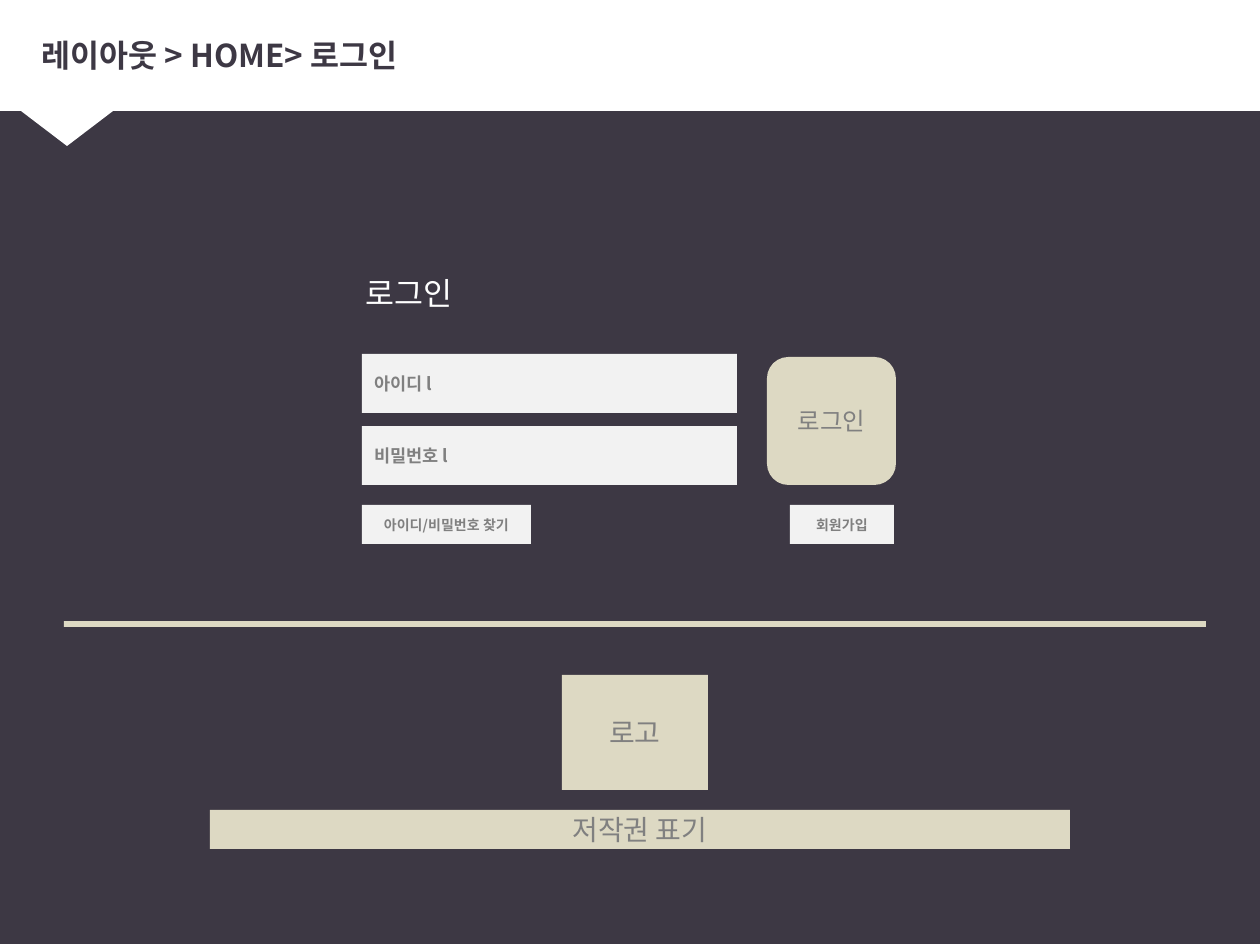
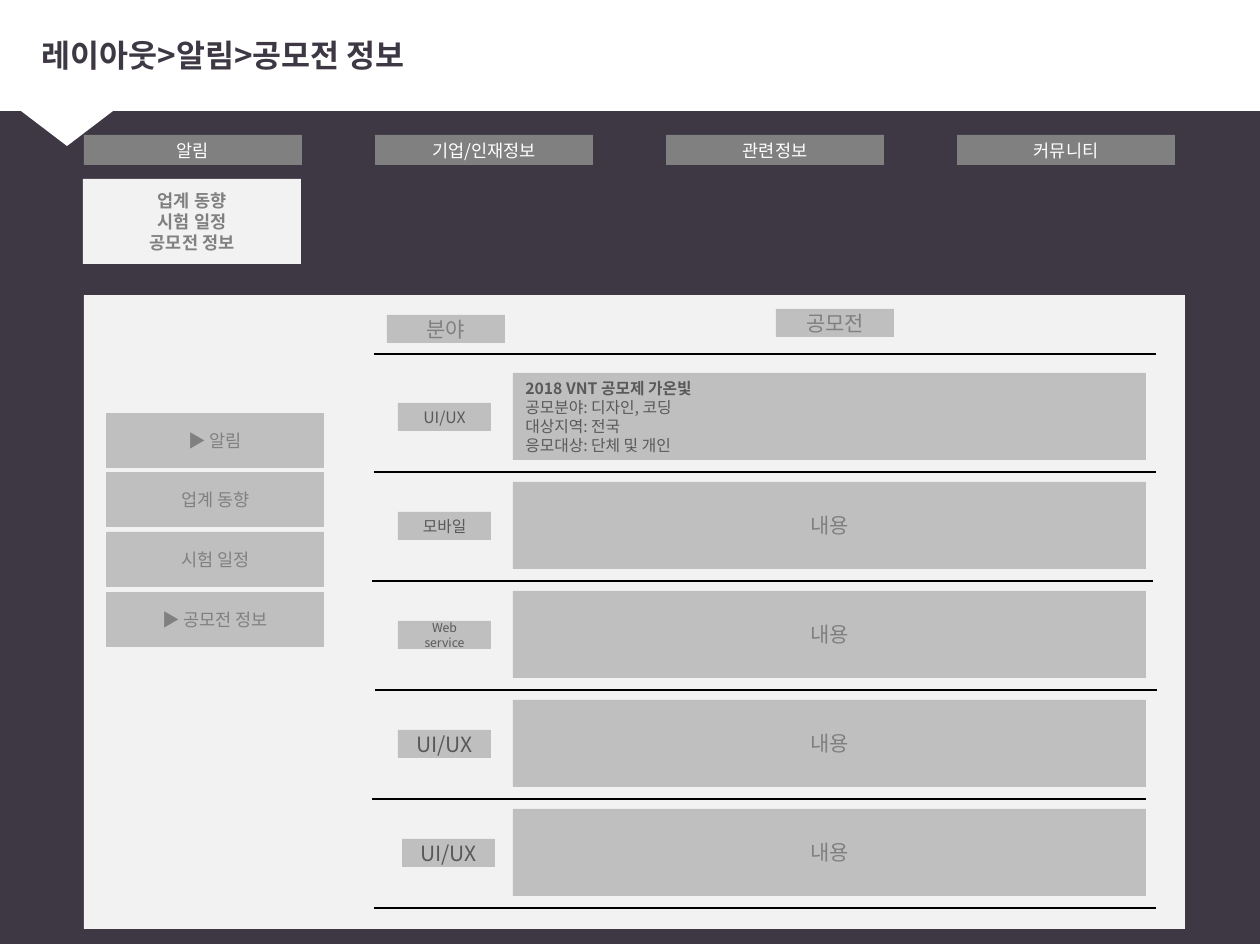
"""Build two wireframe slides: a login page and a contest list."""
from copy import deepcopy
from dataclasses import dataclass

from lxml import etree
from pptx import Presentation
from pptx.dml.color import RGBColor
from pptx.enum.shapes import MSO_CONNECTOR, MSO_SHAPE
from pptx.enum.text import MSO_ANCHOR, MSO_AUTO_SIZE, PP_ALIGN
from pptx.oxml.ns import qn
from pptx.presentation import Presentation as Deck
from pptx.shapes.base import BaseShape
from pptx.slide import Slide, SlideLayout
from pptx.util import Emu, Pt

RECT = MSO_SHAPE.RECTANGLE
ROUND = MSO_SHAPE.ROUNDED_RECTANGLE
WEDGE = MSO_SHAPE.ISOSCELES_TRIANGLE
LINE = MSO_CONNECTOR.STRAIGHT
LEFT = PP_ALIGN.LEFT
MID = PP_ALIGN.CENTER
TOP = MSO_ANCHOR.TOP
CORE = MSO_ANCHOR.MIDDLE
FIXED = MSO_AUTO_SIZE.NONE
SCALE = 914400 / 126


@dataclass(frozen=True)
class Theme:
    """Colours, font and type sizes of the deck."""
    font: str = "Noto Sans CJK KR"
    dark: str = "3D3844"
    white: str = "FFFFFF"
    pale: str = "F2F2F2"
    sand: str = "DDD9C3"
    silver: str = "BFBFBF"
    gray: str = "808080"
    coal: str = "595959"
    black: str = "000000"
    title: float = 18
    logo: float = 16
    button: float = 14
    head: float = 12
    body: float = 10
    note: float = 9
    small: float = 8
    tiny: float = 7
    rule: float = 0.75


THEME = Theme()


@dataclass(frozen=True)
class Box:
    """A filled shape, placed in pixels, with optional text."""
    x: int
    y: int
    w: int
    h: int
    fill: str
    text: str = ""
    size: float = THEME.body
    ink: str = THEME.gray
    bold: bool = False
    lead: bool = False
    align: PP_ALIGN = MID
    kind: MSO_SHAPE = RECT
    turn: int = 0


def px(count: int) -> Emu:
    """Turn pixels into EMU."""
    return Emu(round(count * SCALE))


def area(x: int, y: int, w: int, h: int) -> tuple[Emu, Emu, Emu, Emu]:
    """Turn a pixel frame into EMU lengths."""
    return px(x), px(y), px(w), px(h)


def write(shape: BaseShape, text: str, *, size: float, ink: str, bold: bool = False,
          lead: bool = False, align: PP_ALIGN = LEFT,
          anchor: MSO_ANCHOR = CORE) -> None:
    """Fill a shape with text, one paragraph a line; lead makes the first bold."""
    frame = shape.text_frame
    frame.word_wrap = True
    frame.auto_size = FIXED
    frame.vertical_anchor = anchor
    frame.text = text
    for row, para in enumerate(frame.paragraphs):
        para.alignment = align
        for run in para.runs:
            run.font.name = THEME.font
            run.font.size = Pt(size)
            run.font.bold = bold or (lead and row == 0)
            run.font.color.rgb = RGBColor.from_string(ink)
    for latin in list(shape.element.iter(qn("a:latin"))):
        east = deepcopy(latin)
        east.tag = qn("a:ea")
        latin.addnext(east)


def draw(slide: Slide, box: Box) -> BaseShape:
    """Draw one box."""
    shape = slide.shapes.add_shape(box.kind, *area(box.x, box.y, box.w, box.h))
    shape.shadow.inherit = False
    shape.fill.solid()
    shape.fill.fore_color.rgb = RGBColor.from_string(box.fill)
    shape.line.fill.background()
    shape.rotation = box.turn
    if box.text:
        write(shape, box.text, size=box.size, ink=box.ink, bold=box.bold,
              lead=box.lead, align=box.align)
    return shape


def rule(slide: Slide, left: int, right: int, y: int) -> None:
    """Draw a thin level line."""
    link = slide.shapes.add_connector(LINE, px(left), px(y), px(right), px(y))
    link.line.width = Pt(THEME.rule)
    link.line.color.rgb = RGBColor.from_string(THEME.black)
    etree.SubElement(link.element.spPr, qn("a:effectLst"))


def dress(slide: Slide, layout: SlideLayout) -> None:
    """Draw the shared backdrop and move it to the layout."""
    parts = (
        Box(0, -1, 1278, 945, THEME.dark),
        Box(-4, -2, 1281, 113, THEME.white),
        Box(-25, 76, 184, 70, THEME.white, kind=WEDGE, turn=180),
    )
    for spot, part in enumerate(parts, start=2):
        layout.shapes.element.insert(spot, draw(slide, part).element)


def start(deck: Deck, layout: SlideLayout, text: str) -> Slide:
    """Add a slide with its title."""
    slide = deck.slides.add_slide(layout)
    title = slide.shapes.title
    title.left, title.top, title.width, title.height = area(29, 16, 1217, 78)
    write(title, text, size=THEME.title, ink=THEME.dark, bold=True)
    return slide


def login(slide: Slide) -> None:
    """Draw the login form and the footer."""
    for row, text in enumerate(("아이디 l", "비밀번호 l")):
        draw(slide, Box(362, 354 + 72 * row, 375, 59, THEME.pale, text,
                        bold=True, align=LEFT))
    for x, w, text in ((362, 169, "아이디/비밀번호 찾기"), (790, 104, "회원가입")):
        draw(slide, Box(x, 505, w, 39, THEME.pale, text, THEME.small, bold=True))
    draw(slide, Box(767, 357, 129, 128, THEME.sand, "로그인", THEME.button, kind=ROUND))
    label = slide.shapes.add_textbox(*area(353, 268, 149, 50))
    write(label, "로그인", size=THEME.title, ink=THEME.white, anchor=TOP)
    draw(slide, Box(64, 621, 1142, 6, THEME.sand))
    draw(slide, Box(562, 675, 146, 115, THEME.sand, "로고", THEME.logo))
    draw(slide, Box(210, 810, 860, 39, THEME.sand, "저작권 표기", THEME.logo))


def contest(slide: Slide) -> None:
    """Draw the menus and the contest list."""
    for col, text in enumerate(("알림", "기업/인재정보", "관련정보", "커뮤니티")):
        draw(slide, Box(84 + 291 * col, 135, 218, 30, THEME.gray, text, ink=THEME.white))
    draw(slide, Box(83, 179, 218, 85, THEME.pale,
                    "업계 동향\n시험 일정\n공모전 정보", bold=True))
    draw(slide, Box(84, 295, 1101, 634, THEME.pale))
    for row, text in enumerate(("▶ 알림", "업계 동향", "시험 일정", "▶ 공모전 정보")):
        draw(slide, Box(106, 413 + 179 * row // 3, 218, 55, THEME.silver, text))
    for x, y, text in ((387, 315, "분야"), (776, 309, "공모전")):
        draw(slide, Box(x, y, 118, 28, THEME.silver, text, THEME.head))
    rule(slide, 374, 1156, 354)
    detail = ("2018 VNT 공모제 가온빛\n공모분야: 디자인, 코딩\n"
              "대상지역: 전국\n응모대상: 단체 및 개인")
    rows = (
        ("UI/UX", THEME.note, 398, 374, 1156),
        ("모바일", THEME.note, 398, 372, 1153),
        ("Web\nservice", THEME.tiny, 398, 375, 1157),
        ("UI/UX", THEME.head, 398, 372, 1146),
        ("UI/UX", THEME.head, 402, 374, 1156),
    )
    for row, (text, size, x, left, right) in enumerate(rows):
        y = 373 + 109 * row
        if row:
            draw(slide, Box(513, y, 633, 87, THEME.silver, "내용", THEME.head))
        else:
            draw(slide, Box(513, y, 633, 87, THEME.silver, detail, THEME.note,
                            THEME.coal, lead=True, align=LEFT))
        draw(slide, Box(x, y + 30, 93, 28, THEME.silver, text, size, THEME.coal))
        rule(slide, left, right, y + 99)


def main() -> None:
    """Build and save the deck."""
    deck = Presentation()
    deck.slide_width, deck.slide_height = px(1260), px(945)
    layout = deck.slide_layouts[5]
    first = start(deck, layout, "레이아웃 > HOME> 로그인")
    dress(first, layout)
    login(first)
    contest(start(deck, layout, "레이아웃>알림>공모전 정보"))
    deck.save("out.pptx")


main()
